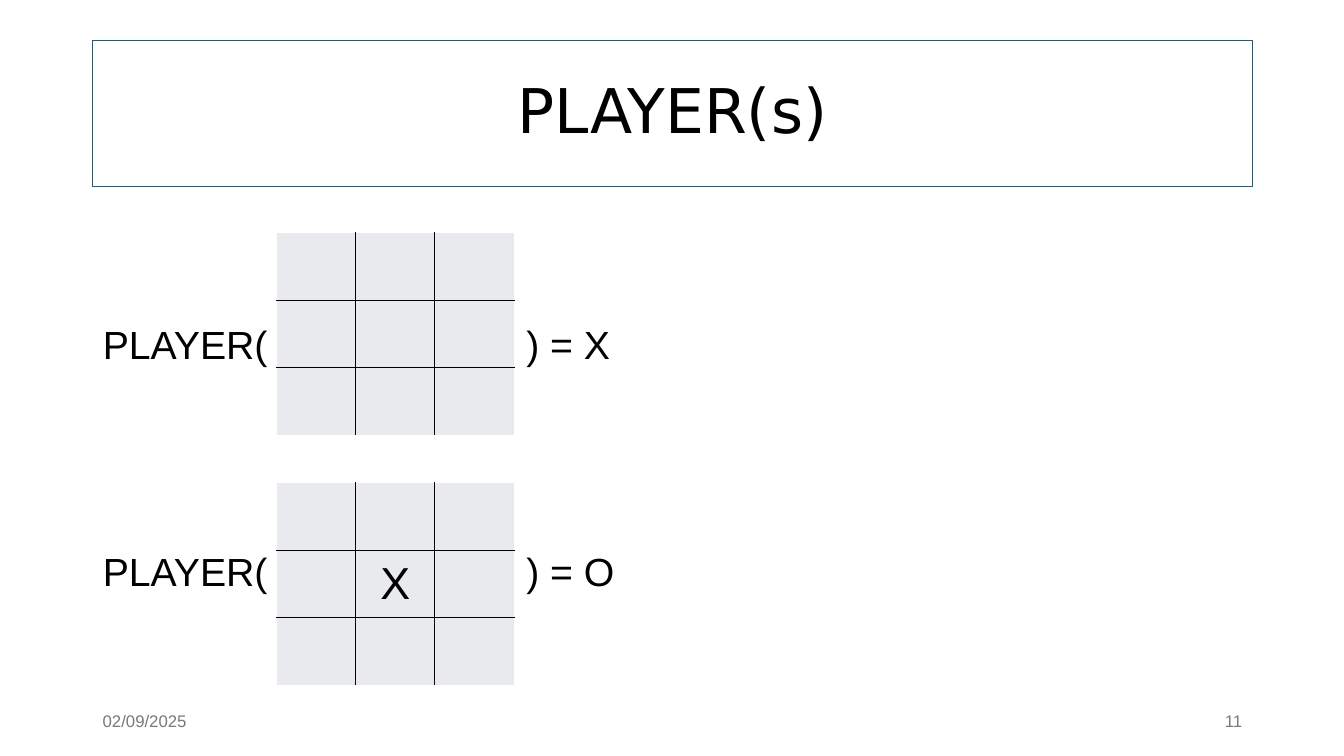
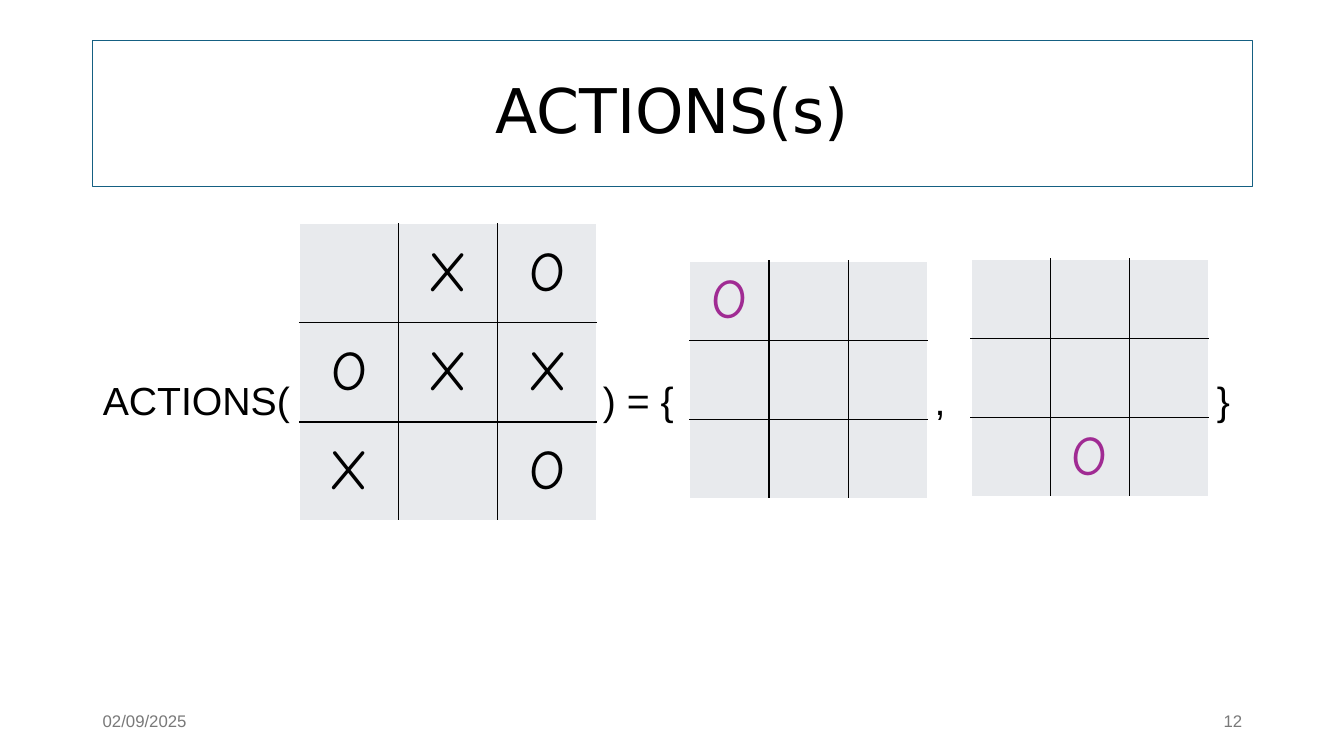
from lxml import etree
from pptx import Presentation
from pptx.dml.color import RGBColor
from pptx.enum.shapes import MSO_SHAPE
from pptx.enum.text import MSO_ANCHOR, PP_ALIGN
from pptx.oxml.ns import qn
from pptx.util import Inches, Pt

RECT = MSO_SHAPE.RECTANGLE
MIDDLE = MSO_ANCHOR.MIDDLE
LEFT, CENTER, RIGHT = PP_ALIGN.LEFT, PP_ALIGN.CENTER, PP_ALIGN.RIGHT

BLACK, WHITE, GREY = "000000", "FFFFFF", "797979"
TEAL, PALE, PURPLE = "156082", "E8EAED", "A02B93"
SANS, TITLE, HAND = "Arial", "DejaVu Sans", "Comic Neue"
DATE = "02/09/2025"
EDGE, WIDE = 0.92, 11.5

SLIDES = [
    {
        "title": "PLAYER(s)",
        "page": "11",
        "terms": [
            (1.02, 3.41, "PLAYER("),
            (5.22, 3.41, ") = X"),
            (1.02, 5.66, "PLAYER("),
            (5.22, 5.66, ") = O"),
        ],
        "font": (SANS, 32),
        "boards": [
            (2.74, 2.31, 2.36, 2.01, BLACK, ["   ", "   ", "   "]),
            (2.74, 4.79, 2.36, 2.01, BLACK, ["   ", " X ", "   "]),
        ],
    },
    {
        "title": "ACTIONS(s)",
        "page": "12",
        "terms": [
            (1.02, 3.97, "ACTIONS("),
            (5.98, 3.97, ") = {"),
            (9.27, 3.97, ","),
            (12.07, 3.97, "}"),
        ],
        "font": (HAND, 40),
        "boards": [
            (2.97, 2.22, 2.95, 2.95, BLACK, [" XO", "OXX", "X O"]),
            (6.84, 2.59, 2.36, 2.36, PURPLE, ["O  ", "   ", "   "]),
            (9.63, 2.57, 2.36, 2.36, PURPLE, ["   ", "   ", " O "]),
        ],
    },
]


def rgb(code):
    return RGBColor.from_string(code)


def write(frame, text, name, size, color, align):
    para = frame.paragraphs[0]
    para.text = text
    para.alignment = align
    para.font.name = name
    para.font.size = Pt(size)
    para.font.color.rgb = rgb(color)


def label(slide, x, y, w, h, text, size, color, align=LEFT, wrap=True, pad=0.1):
    box = slide.shapes.add_textbox(Inches(x), Inches(y), Inches(w), Inches(h))
    frame = box.text_frame
    frame.word_wrap = wrap
    frame.vertical_anchor = MIDDLE
    frame.margin_left = frame.margin_right = Inches(pad)
    write(frame, text, SANS, size, color, align)


def border(cell, side, color):
    line = etree.SubElement(cell._tc.get_or_add_tcPr(), qn("a:ln" + side), w=str(Pt(1)))
    fill = etree.SubElement(line, qn("a:solidFill"))
    etree.SubElement(fill, qn("a:srgbClr"), val=color)


def board(slide, x, y, w, h, color, marks, font):
    size = len(marks)
    last = size - 1
    frame = slide.shapes.add_table(size, size, Inches(x), Inches(y), Inches(w), Inches(h))
    table = frame.table
    table.first_row = table.horz_banding = False
    for i, row in enumerate(marks):
        table.rows[i].height = Inches(h / size)
        table.columns[i].width = Inches(w / size)
        for j, mark in enumerate(row):
            cell = table.cell(i, j)
            outer = {"L": j == 0, "R": j == last, "T": i == 0, "B": i == last}
            for side, free in outer.items():
                border(cell, side, WHITE if free else BLACK)
            cell.fill.solid()
            cell.fill.fore_color.rgb = rgb(PALE)
            cell.vertical_anchor = MIDDLE
            if mark != " ":
                write(cell.text_frame, mark, *font, color, CENTER)


def header(slide, text):
    box = slide.shapes.add_shape(RECT, Inches(EDGE), Inches(0.4), Inches(WIDE), Inches(1.45))
    box.shadow.inherit = False
    box.fill.background()
    box.line.color.rgb = rgb(TEAL)
    box.line.width = Pt(0.75)
    box.text_frame.vertical_anchor = MIDDLE
    write(box.text_frame, text, TITLE, 44, BLACK, CENTER)
    box.text_frame.paragraphs[0].line_spacing = 0.9


def footer(slide, page):
    label(slide, EDGE, 6.95, 3, 0.4, DATE, 12, GREY)
    label(slide, EDGE + WIDE - 3, 6.95, 3, 0.4, page, 12, GREY, RIGHT)


def main():
    deck = Presentation()
    deck.slide_width, deck.slide_height = Inches(13.33), Inches(7.5)
    for data in SLIDES:
        slide = deck.slides.add_slide(deck.slide_layouts[6])
        header(slide, data["title"])
        for x, mid, text in data["terms"]:
            label(slide, x, mid - 0.3, 0.15 + 0.22 * len(text), 0.6, text, 28, BLACK,
                  wrap=False, pad=0)
        footer(slide, data["page"])
        for item in data["boards"]:
            board(slide, *item, data["font"])
    deck.save("out.pptx")


if __name__ == "__main__":
    main()
